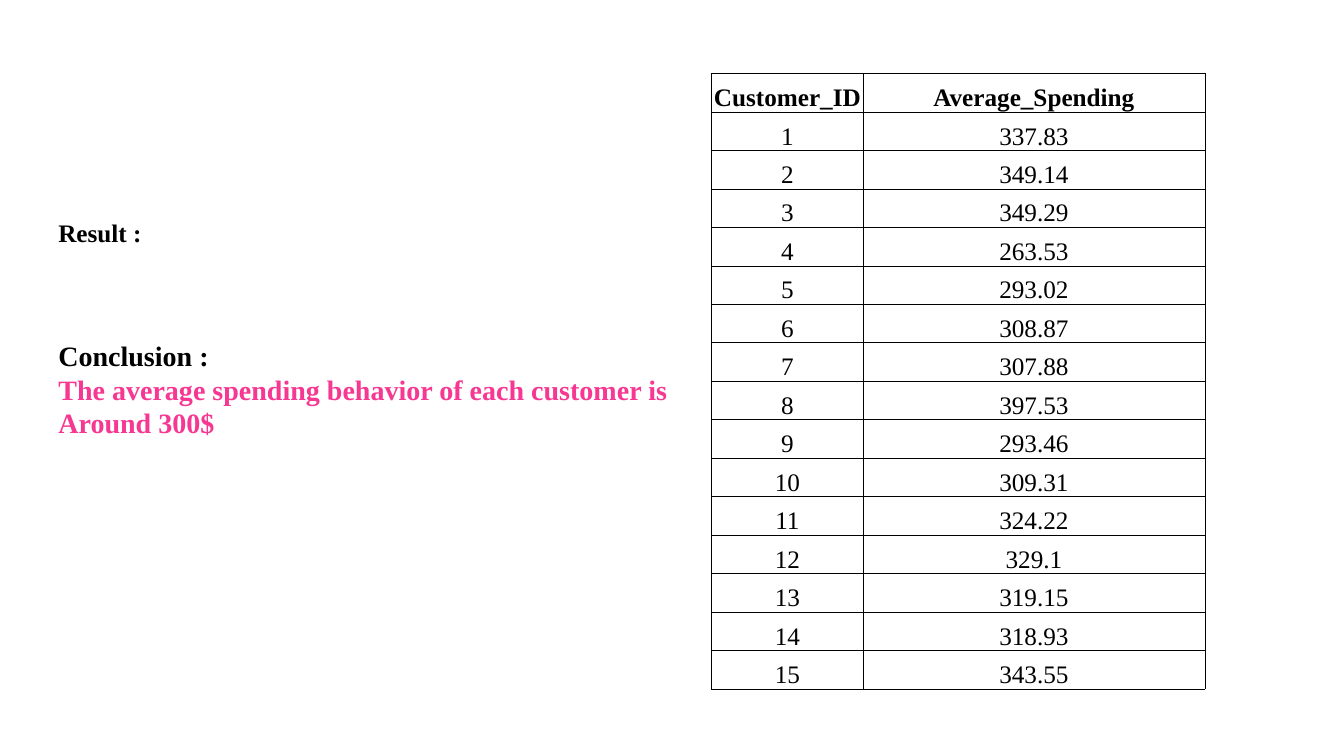
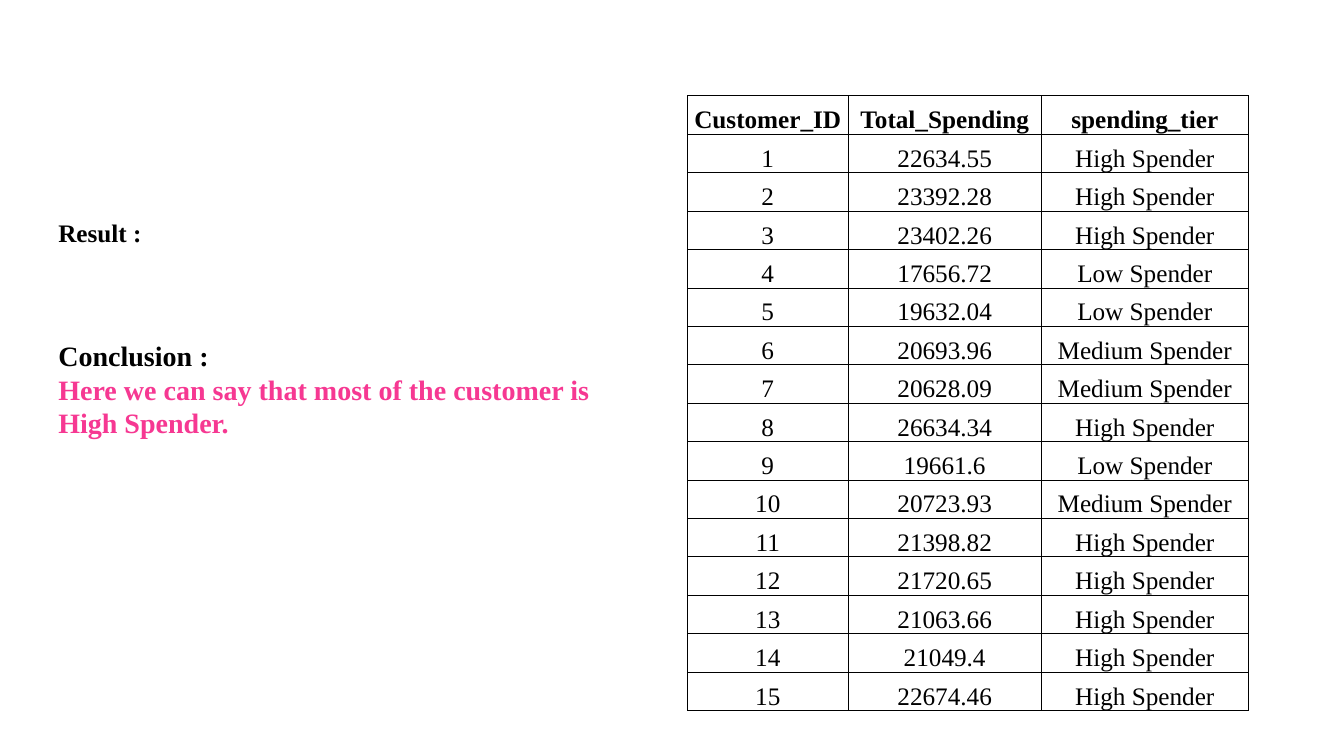
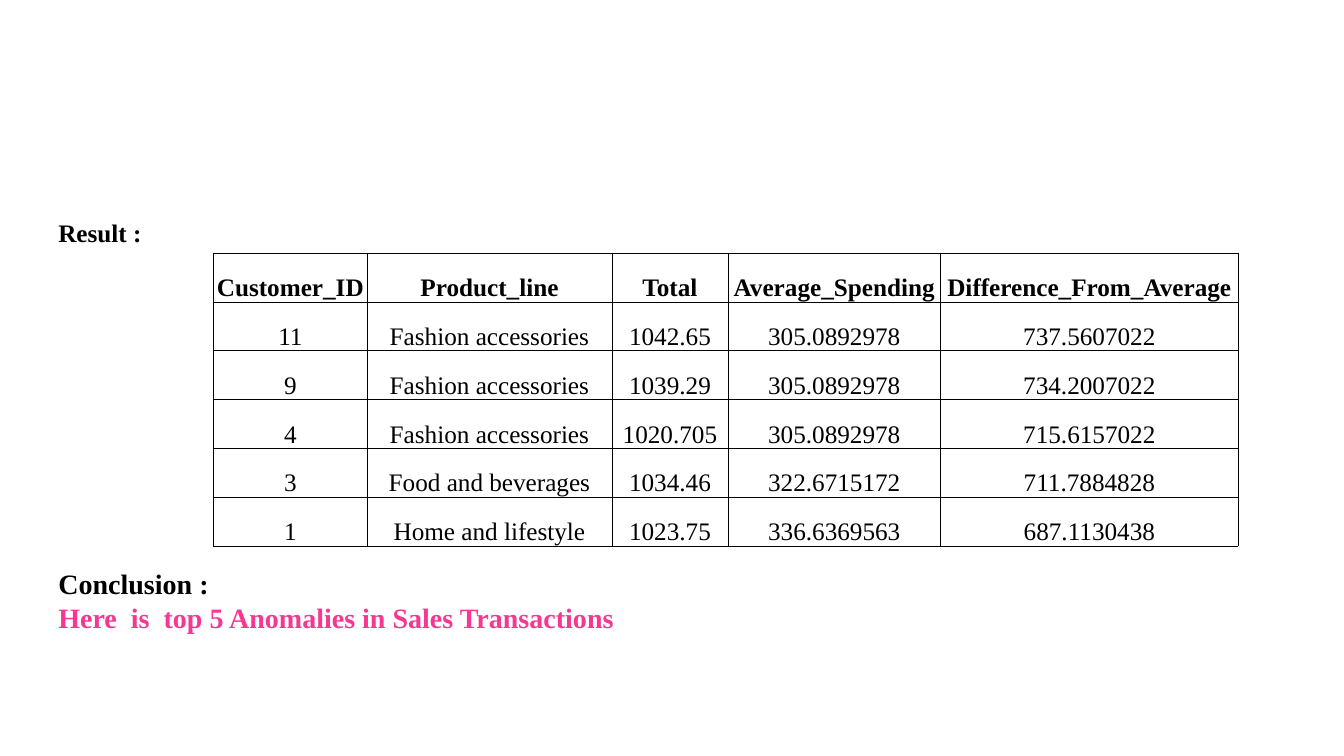
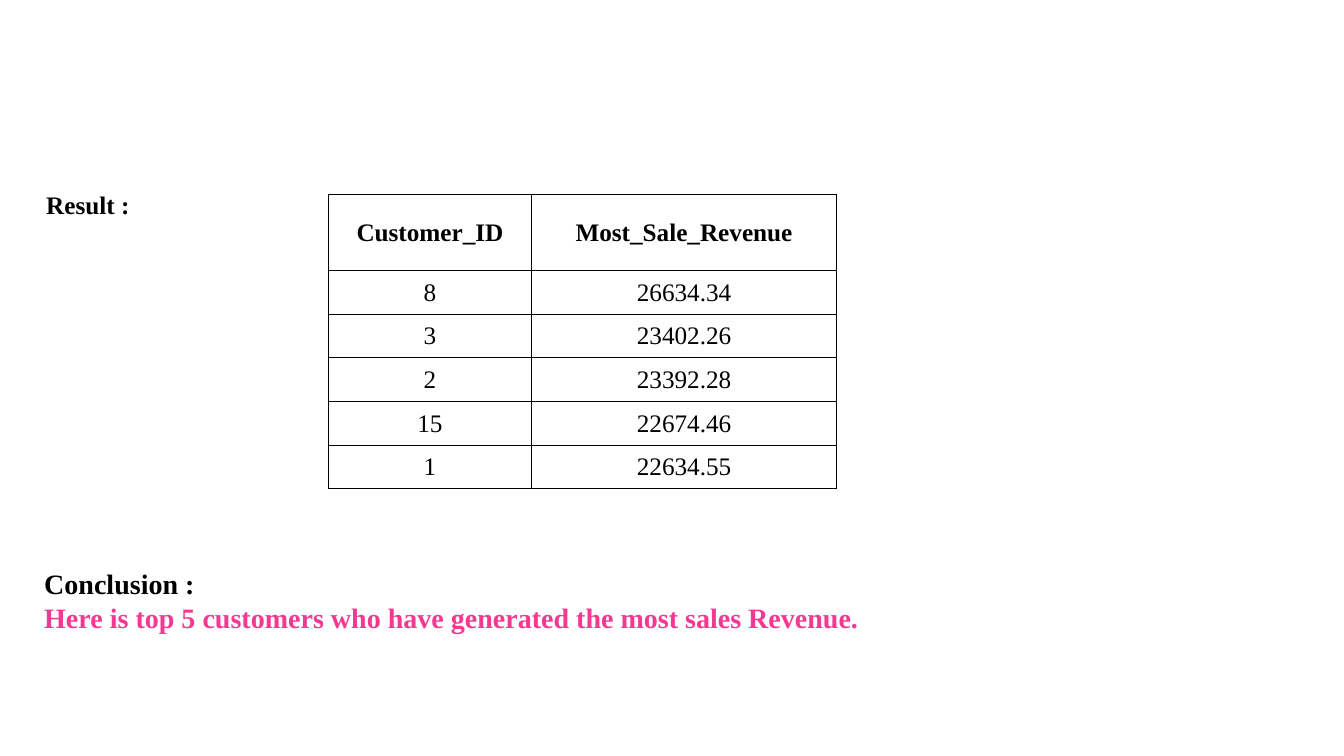
from lxml import etree
from pptx import Presentation, util as u
from pptx.dml.color import RGBColor
from pptx.enum import text
from pptx.oxml import ns

PX = 9144
FONT = "Times New Roman"
BLACK, PINK = "000000", "F63892"
BOX_WIDTH = 1189


def add_run(paragraph, words, size, bold, color):
    run = paragraph.add_run()
    run.text = words
    run.font.name = FONT
    run.font.size = u.Pt(size)
    run.font.bold = bold
    run.font.color.rgb = RGBColor.from_string(color)


def border_cell(cell):
    properties = cell._tc.get_or_add_tcPr()
    for index, side in enumerate(("lnL", "lnR", "lnT", "lnB")):
        line = etree.Element(ns.qn(f"a:{side}"), w=str(u.Pt(0.5)))
        fill = etree.SubElement(line, ns.qn("a:solidFill"))
        etree.SubElement(fill, ns.qn("a:srgbClr"), val=BLACK)
        properties.insert(index, line)


averages = [
    "337.83", "349.14", "349.29", "263.53", "293.02", "308.87", "307.88", "397.53",
    "293.46", "309.31", "324.22", "329.1", "319.15", "318.93", "343.55",
]
totals = [
    ("22634.55", "High"), ("23392.28", "High"), ("23402.26", "High"),
    ("17656.72", "Low"), ("19632.04", "Low"), ("20693.96", "Medium"),
    ("20628.09", "Medium"), ("26634.34", "High"), ("19661.6", "Low"),
    ("20723.93", "Medium"), ("21398.82", "High"), ("21720.65", "High"),
    ("21063.66", "High"), ("21049.4", "High"), ("22674.46", "High"),
]

findings = [
    {
        "table": (706, 73, 611),
        "columns": [150, 339],
        "rows": [("Customer_ID", "Average_Spending")]
        + [(str(number), average) for number, average in enumerate(averages, 1)],
        "result": (48, 211),
        "conclusion": (48, 331, 145),
        "lines": ["The average spending behavior of each customer is", "Around 300$"],
    },
    {
        "table": (682, 95, 610),
        "columns": [159, 192, 205],
        "rows": [("Customer_ID", "Total_Spending", "spending_tier")]
        + [(str(number), total, f"{tier} Spender")
           for number, (total, tier) in enumerate(totals, 1)],
        "result": (48, 211),
        "conclusion": (48, 331, 111),
        "lines": ["Here we can say that most of the customer is", "High Spender."],
    },
    {
        "table": (212, 251, 291),
        "columns": [152, 243, 115, 211, 295],
        "rows": [
            ("Customer_ID", "Product_line", "Total", "Average_Spending", "Difference_From_Average"),
            ("11", "Fashion accessories", "1042.65", "305.0892978", "737.5607022"),
            ("9", "Fashion accessories", "1039.29", "305.0892978", "734.2007022"),
            ("4", "Fashion accessories", "1020.705", "305.0892978", "715.6157022"),
            ("3", "Food and beverages", "1034.46", "322.6715172", "711.7884828"),
            ("1", "Home and lifestyle", "1023.75", "336.6369563", "687.1130438"),
        ],
        "result": (48, 211),
        "conclusion": (48, 557, 77),
        "lines": ["Here  is  top 5 Anomalies in Sales Transactions"],
    },
    {
        "table": (326, 193, 292),
        "columns": [201, 303],
        "header": 75,
        "anchor": text.MSO_ANCHOR.MIDDLE,
        "rows": [
            ("Customer_ID", "Most_Sale_Revenue"),
            ("8", "26634.34"),
            ("3", "23402.26"),
            ("2", "23392.28"),
            ("15", "22674.46"),
            ("1", "22634.55"),
        ],
        "result": (36, 183),
        "conclusion": (34, 557, 111),
        "lines": ["Here is top 5 customers who have generated the most sales Revenue."],
    },
]

deck = Presentation()
deck.slide_width, deck.slide_height = u.Emu(1333 * PX), u.Emu(750 * PX)

for finding in findings:
    slide = deck.slides.add_slide(deck.slide_layouts[6])

    rows, columns = finding["rows"], finding["columns"]
    left, top, height = finding["table"]
    header_height = finding.get("header", height / len(rows))
    body_height = (height - header_height) / (len(rows) - 1)
    grid = slide.shapes.add_table(
        len(rows), len(columns), left * PX, top * PX, sum(columns) * PX, height * PX
    ).table
    grid.first_row = grid.horz_banding = False
    for column, width in zip(grid.columns, columns):
        column.width = width * PX
    for row_index, row in enumerate(rows):
        grid.rows[row_index].height = round((body_height if row_index else header_height) * PX)
        for column_index, value in enumerate(row):
            cell = grid.cell(row_index, column_index)
            cell.margin_left = cell.margin_right = cell.margin_top = PX
            cell.margin_bottom = 0
            cell.vertical_anchor = finding.get("anchor", text.MSO_ANCHOR.BOTTOM)
            cell.fill.background()
            border_cell(cell)
            paragraph = cell.text_frame.paragraphs[0]
            paragraph.alignment = text.PP_ALIGN.CENTER
            add_run(paragraph, value, 18, row_index == 0, BLACK)

    conclusion = [("Conclusion :", BLACK)] + [(line, PINK) for line in finding["lines"]]
    for (left, top, height), size, lines in (
        ((*finding["result"], 40), 18, [("Result :", BLACK)]),
        (finding["conclusion"], 20, conclusion),
    ):
        frame = slide.shapes.add_textbox(
            left * PX, top * PX, BOX_WIDTH * PX, height * PX
        ).text_frame
        frame.word_wrap = True
        frame.auto_size = text.MSO_AUTO_SIZE.SHAPE_TO_FIT_TEXT
        for index, (words, color) in enumerate(lines):
            paragraph = frame.add_paragraph() if index else frame.paragraphs[0]
            add_run(paragraph, words, size, True, color)

deck.save("out.pptx")
